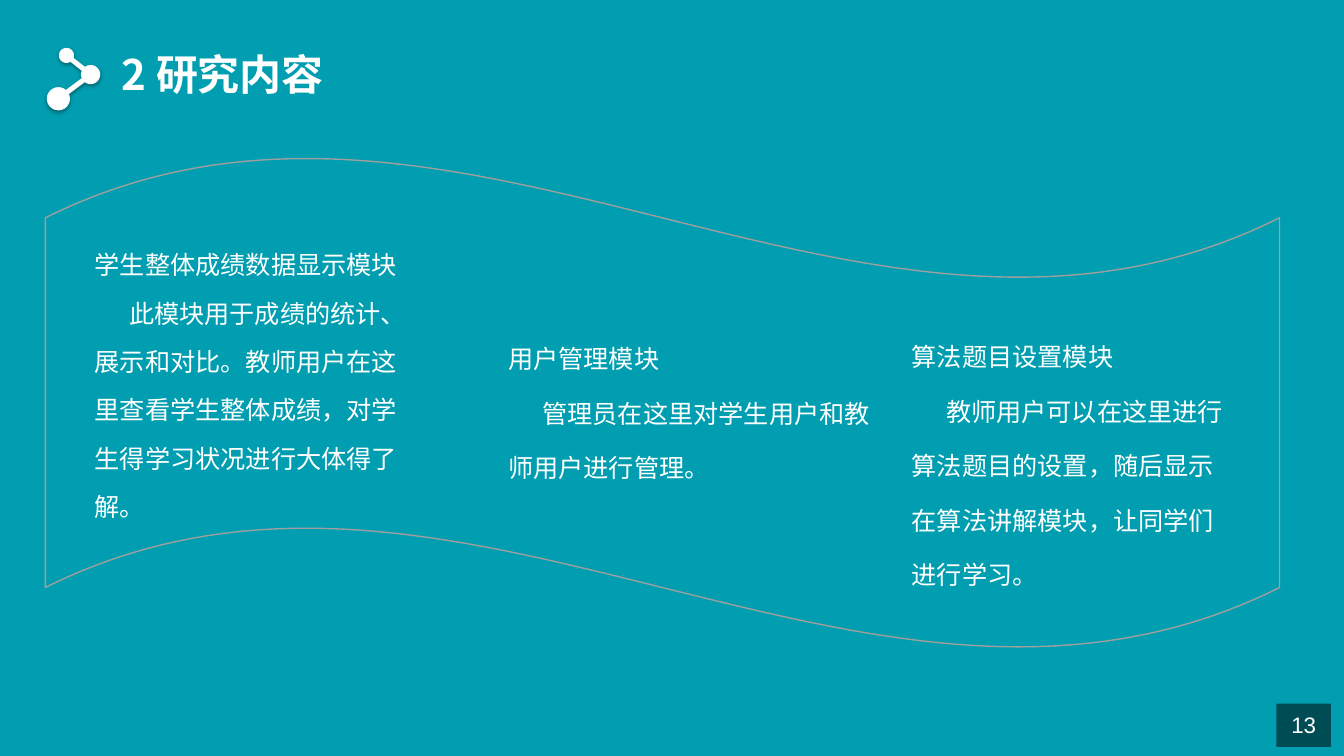
from collections import namedtuple
from dataclasses import dataclass
from math import asin, atan2, cos, pi, sin

from lxml.etree import SubElement
from pptx import Presentation
from pptx.dml.color import RGBColor as Rgb
from pptx.enum.shapes import MSO_SHAPE as Kind
from pptx.enum.text import MSO_AUTO_SIZE as Fit, PP_ALIGN as Align
from pptx.oxml.ns import qn
from pptx.util import Inches, Pt

Box = namedtuple("Box", "x y w h")
Ball = namedtuple("Ball", "x y r")


@dataclass(frozen=True)
class Theme:
    back: str = "009EB0"
    dark: str = "004C54"
    white: str = "FFFFFF"
    rim: str = "F9F9F9"
    edge: str = "9F9F9F"
    latin: str = "Arial"
    asian: str = "Noto Sans CJK SC"
    head: int = 30
    body: int = 18
    page: int = 16


T = Theme()
WIDE, HIGH = 13.34, 7.5


def part(box, x, y, w, h):
    """Box given as shares of another box."""
    return Box(box.x + x * box.w, box.y + y * box.h, w * box.w, h * box.h)


def inch(box):
    return [Inches(v) for v in box]


def write(slide, box, text, size=T.body, font=T.latin, bold=False,
          align=Align.LEFT, wrap=True, pitch=None, indent=0):
    """Text box; indent moves the first line of later paragraphs."""
    frame = slide.shapes.add_textbox(*inch(box)).text_frame
    frame.word_wrap = wrap
    frame.auto_size = Fit.SHAPE_TO_FIT_TEXT
    for i, line in enumerate(text.split("\n")):
        para = frame.add_paragraph() if i else frame.paragraphs[0]
        para.alignment = align
        if pitch:
            para.line_spacing = Pt(pitch)
        if i and indent:
            para._p.get_or_add_pPr().set("indent", str(Inches(indent)))
        run = para.add_run()
        run.text = line
        run.font.size, run.font.bold = Pt(size), bold
        run.font.name = font
        run.font.color.rgb = Rgb.from_string(T.white)
        props = run._r.get_or_add_rPr()
        props.set("lang", "zh-CN")
        SubElement(props, qn("a:ea")).set("typeface", T.asian)


def paint(shape, fill, line=None, width=1):
    shape.shadow.inherit = False
    shape.fill.solid()
    shape.fill.fore_color.rgb = Rgb.from_string(fill)
    if line:
        shape.line.color.rgb = Rgb.from_string(line)
        shape.line.width = Pt(width)
    else:
        shape.line.fill.background()
    return shape


def shade(shape):
    """Soft shadow straight below the shape."""
    effects = shape._element.spPr.find(qn("a:effectLst"))
    outer = SubElement(effects, qn("a:outerShdw"), blurRad=str(Pt(3.1)),
                       dist=str(Pt(1.6)), dir="5400000", algn="t",
                       rotWithShape="0")
    color = SubElement(outer, qn("a:srgbClr"), val="000000")
    SubElement(color, qn("a:alpha"), val="38000")


def icon(slide, box):
    """Three balls joined by two bars, as one outline."""
    top = Ball(0.19, 0.07, 0.07)
    mid = Ball(0.43, 0.26, 0.09)
    low = Ball(0.11, 0.5, 0.11)
    half, steps = 0.02, 24
    unit = 1000  # pen units per inch

    def aim(a, b):
        return atan2(b.y - a.y, b.x - a.x)

    def arc(ball, start, end):
        """Clockwise rim between the bars at two angles."""
        trim = asin(half / ball.r)
        span = (end - start) % (2 * pi) or 2 * pi
        for i in range(steps + 1):
            turn = start + trim + (span - 2 * trim) * i / steps
            yield (unit * (box.x + ball.x + ball.r * cos(turn)),
                   unit * (box.y + ball.y + ball.r * sin(turn)))

    stops = ((low, mid, mid), (mid, low, top), (top, mid, mid), (mid, top, low))
    dots = [dot for ball, a, b in stops
            for dot in arc(ball, aim(ball, a), aim(ball, b))]
    pen = slide.shapes.build_freeform(*dots[0], scale=Inches(1) / unit)
    pen.add_line_segments(dots[1:], close=True)
    shade(paint(pen.convert_to_shape(), T.white, T.rim, 0.75))


def header(slide, box):
    icon(slide, Box(box.x, box.y + 0.05, 0.52, 0.61))
    write(slide, Box(box.x + 0.64, box.y, 2.37, box.h), "2 研究内容",
          size=T.head, font=T.asian, bold=True, wrap=False, pitch=36)


def banner(slide, box):
    paint(slide.shapes.add_shape(Kind.WAVE, *inch(box)), T.back, T.edge)
    # left, top, width, height as shares of the wave; line pitch; text
    notes = (
        (0.032, 0.143, 0.279, 0.616, 34.5,
         "学生整体成绩数据显示模块\n此模块用于成绩的统计、展示和对比。教师用户在这里查看学生整体成绩，"
         "对学生得学习状况进行大体得了解。"),
        (0.694, 0.317, 0.278, 0.64, 38.9,
         "算法题目设置模块\n教师用户可以在这里进行算法题目的设置，随后显示在算法讲解模块，"
         "让同学们进行学习。"),
        (0.367, 0.321, 0.312, 0.354, 38.9,
         "用户管理模块\n管理员在这里对学生用户和教师用户进行管理。"),
    )
    for *share, pitch, text in notes:
        write(slide, part(box, *share), text, pitch=pitch, indent=0.34)


def footer(slide, box):
    paint(slide.shapes.add_shape(Kind.RECTANGLE, *inch(box)), T.dark)
    write(slide, Box(box.x + 0.03, box.y + 0.03, box.w - 0.06, box.h - 0.06),
          "13", size=T.page, align=Align.CENTER, wrap=False)


def main():
    deck = Presentation()
    deck.slide_width, deck.slide_height = Inches(WIDE), Inches(HIGH)
    slide = deck.slides.add_slide(deck.slide_layouts[6])
    slide.background.fill.solid()
    slide.background.fill.fore_color.rgb = Rgb.from_string(T.back)
    footer(slide, Box(WIDE - 0.67, HIGH - 0.52, 0.54, 0.43))
    header(slide, Box(0.47, 0.43, 3.01, 0.6))
    banner(slide, Box(0.45, 1.55, 12.25, 4.89))
    deck.save("out.pptx")


if __name__ == "__main__":
    main()
